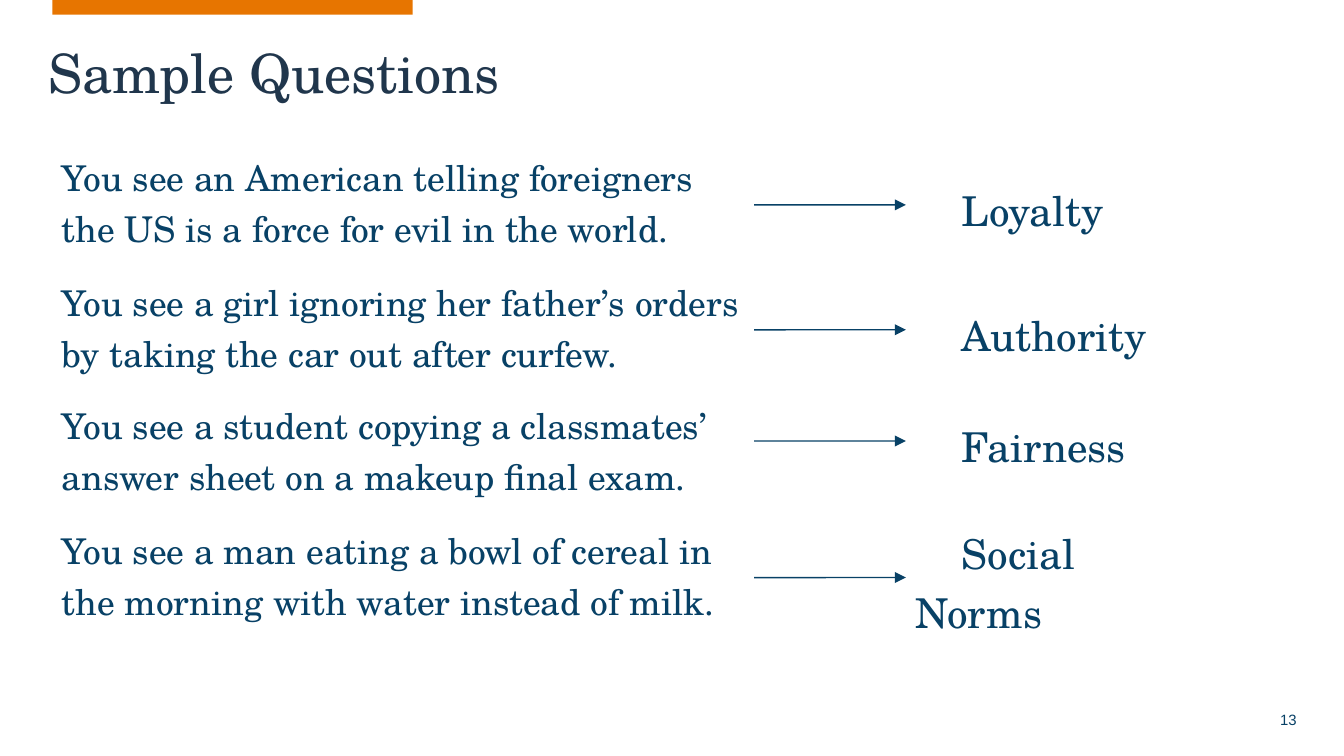
from lxml.etree import SubElement
from pptx import Presentation
from pptx.dml.color import RGBColor
from pptx.enum.shapes import MSO_CONNECTOR, MSO_SHAPE
from pptx.enum.text import MSO_ANCHOR, MSO_AUTO_SIZE, PP_ALIGN
from pptx.oxml.ns import qn
from pptx.util import Cm, Pt

ORANGE = RGBColor(0xE7, 0x75, 0x00)
SLATE = RGBColor(0x20, 0x36, 0x4C)
NAVY = RGBColor(0x08, 0x41, 0x66)
SERIF = "TeX Gyre Schola"

QUESTION_LEFT, QUESTION_WIDTH, QUESTION_HEIGHT = 0.99, 13.26, 2.36
VALUE_LEFT, VALUE_WIDTH, VALUE_HEIGHT = 17.12, 5.92, 1.38

ROWS = [
    (2.69, "You see an American telling foreigners the US is a force for evil in the world.",
     3.87, "Loyalty"),
    (5.05, "You see a girl ignoring her father’s orders by taking the car out after curfew.",
     6.23, "Authority"),
    (7.37, "You see a student copying a classmates’ answer sheet on a makeup final exam.",
     8.33, "Fairness"),
    (9.73, "You see a man eating a bowl of cereal in the morning with water instead of milk.",
     10.91, "Social Norms"),
]


def write_text(shape, text, *, size, color=NAVY, font=SERIF, align=PP_ALIGN.LEFT,
               anchor=MSO_ANCHOR.TOP, line_spacing=1.0, after=0, indent=0, right=0.18):
    frame = shape.text_frame
    frame.word_wrap = True
    frame.auto_size = MSO_AUTO_SIZE.NONE
    frame.vertical_anchor = anchor
    frame.margin_left, frame.margin_right = Cm(0.18), Cm(right)
    frame.margin_top = frame.margin_bottom = Cm(0.1)
    paragraph = frame.paragraphs[0]
    properties = paragraph._p.get_or_add_pPr()
    properties.set("marL", "0")
    properties.set("indent", str(Cm(indent)))
    SubElement(properties, qn("a:buNone"))
    paragraph.alignment = align
    paragraph.line_spacing = line_spacing
    paragraph.space_before = Pt(0)
    paragraph.space_after = Pt(after)
    run = paragraph.add_run()
    run.text = text
    run.font.name = font
    run.font.size = Pt(size)
    run.font.bold = False
    run.font.color.rgb = color


class QuestionSlide:
    def __init__(self, slide):
        self.slide = slide
        self.shapes = slide.shapes

    def bar(self, left, top, width, height):
        bar = self.shapes.add_shape(
            MSO_SHAPE.RECTANGLE, Cm(left), Cm(top), Cm(width), Cm(height))
        bar.shadow.inherit = False
        bar.fill.solid()
        bar.fill.fore_color.rgb = ORANGE
        bar.line.fill.background()

    def placeholder(self, index, left, top, width, height, text, **style):
        holder = self.slide.placeholders[index]
        holder.left, holder.top = Cm(left), Cm(top)
        holder.width, holder.height = Cm(width), Cm(height)
        write_text(holder, text, **style)
        return holder

    def label(self, left, top, width, height, text, **style):
        label = self.shapes.add_textbox(Cm(left), Cm(top), Cm(width), Cm(height))
        write_text(label, text, anchor=MSO_ANCHOR.MIDDLE, **style)
        return label

    def arrow(self, question, value, middle):
        start = question.left + question.width
        arrow = self.shapes.add_connector(
            MSO_CONNECTOR.STRAIGHT, start, Cm(middle), value.left, Cm(middle))
        if abs(question.top + question.height // 2 - Cm(middle)) < Cm(0.05):
            arrow.begin_connect(question, 3)
        arrow.end_connect(value, 1)
        arrow.line.color.rgb = NAVY
        arrow.line.width = Pt(0.75)
        SubElement(arrow.line._get_or_add_ln(), qn("a:tailEnd"), type="triangle")
        SubElement(arrow._element.spPr, qn("a:effectLst"))


def main():
    presentation = Presentation()
    presentation.slide_width, presentation.slide_height = Cm(25.4), Cm(14.28)
    comparison_layout = presentation.slide_layouts.get_by_name("Comparison")
    page = QuestionSlide(presentation.slides.add_slide(comparison_layout))

    page.bar(0.99, 0, 6.81, 0.28)
    page.placeholder(0, 0.74, 0.79, 21.89, 1.7, "Sample Questions",
                     size=29, color=SLATE, line_spacing=0.9)
    for index, (top, scenario, middle, foundation) in enumerate(ROWS, start=1):
        question = page.placeholder(
            index, QUESTION_LEFT, top, QUESTION_WIDTH, QUESTION_HEIGHT, scenario,
            size=19, line_spacing=1.2, after=5)
        value = page.label(
            VALUE_LEFT, middle - VALUE_HEIGHT / 2, VALUE_WIDTH, VALUE_HEIGHT, foundation,
            size=22, line_spacing=1.2, after=5, indent=0.88, right=0.4)
        page.arrow(question, value, middle)
    page.label(23.85, 13.21, 0.84, 0.76, "13",
               size=8, font="Arial", align=PP_ALIGN.RIGHT)

    presentation.save("out.pptx")


if __name__ == "__main__":
    main()
